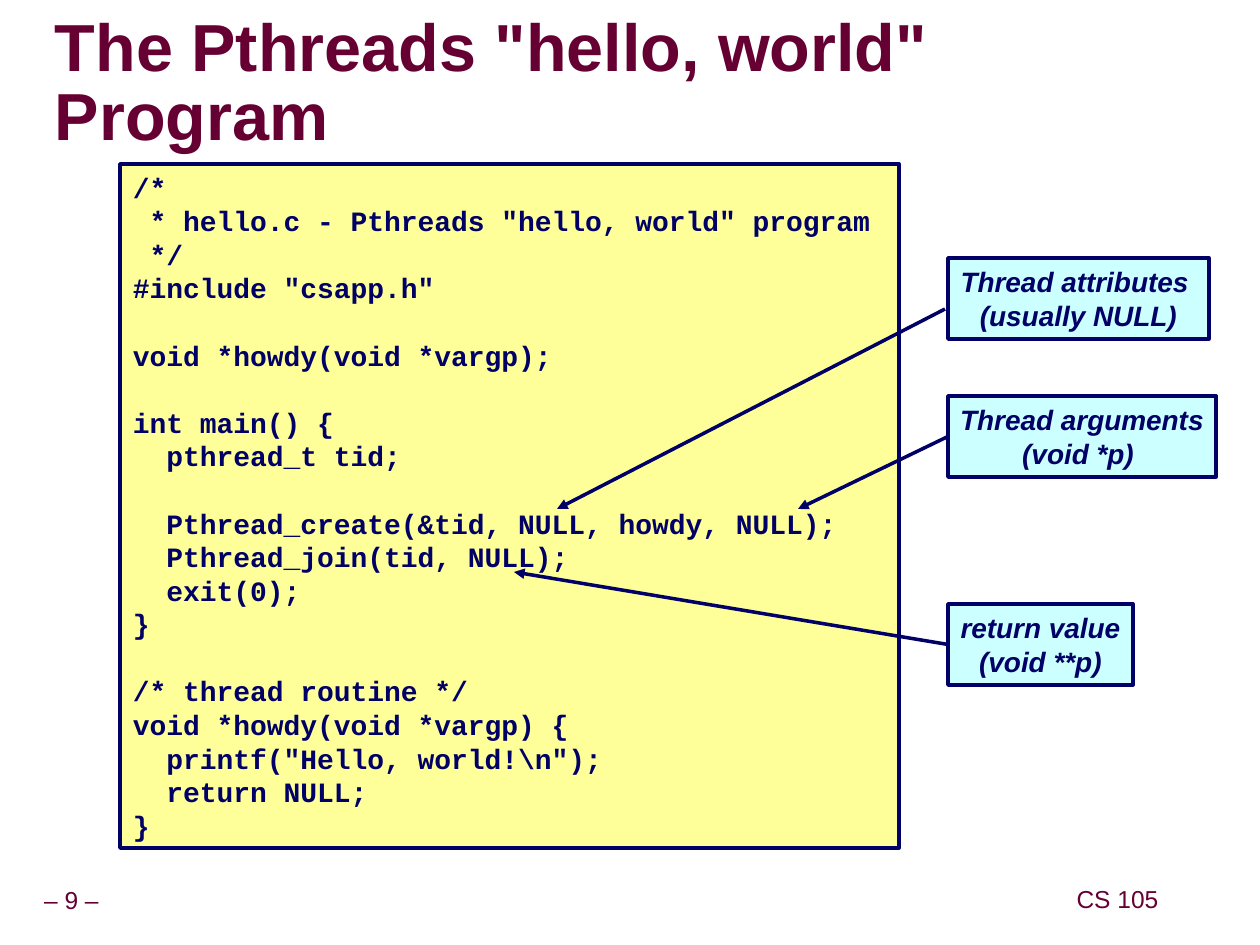
from lxml.etree import SubElement
from pptx import Presentation
from pptx.dml.color import RGBColor
from pptx.enum.shapes import MSO_CONNECTOR as Connector, MSO_SHAPE as Shape
from pptx.enum.text import MSO_ANCHOR as Anchor, PP_ALIGN as Align
from pptx.oxml.ns import qn
from pptx.util import Emu, Pt

MAROON, NAVY, YELLOW, CYAN = "660033", "000066", "FFFF99", "CCFFFF"
LEFT_SIDE = 1

CODE = r'''/*
 * hello.c - Pthreads "hello, world" program
 */
#include "csapp.h"

void *howdy(void *vargp);

int main() {
  pthread_t tid;

  Pthread_create(&tid, NULL, howdy, NULL);
  Pthread_join(tid, NULL);
  exit(0);
}

/* thread routine */
void *howdy(void *vargp) {
  printf("Hello, world!\n");
  return NULL;
}'''


def px(length):
    """Turn pixels into EMU."""
    return Emu(round(length * 914400 / 126))


def color(hex_code):
    """Turn a hex string into a colour."""
    return RGBColor.from_string(hex_code)


def write(shape, text, size, ink, font="Arial", bold=False, italic=False,
          align=Align.LEFT, spacing=None, insets=(13, 6), wrap=False):
    """Fill a shape with evenly styled paragraphs."""
    frame = shape.text_frame
    frame.text = text
    frame.word_wrap = wrap
    frame.vertical_anchor = Anchor.MIDDLE
    frame.margin_left = frame.margin_right = px(insets[0])
    frame.margin_top = frame.margin_bottom = px(insets[1])
    for paragraph in frame.paragraphs:
        paragraph.alignment = align
        paragraph.line_spacing = spacing
        paragraph.font.name = font
        paragraph.font.size = Pt(size)
        paragraph.font.bold = bold
        paragraph.font.italic = italic
        paragraph.font.color.rgb = color(ink)


def add_label(slide, bounds, text, size, **style):
    """Add unframed maroon text."""
    label = slide.shapes.add_textbox(*map(px, bounds))
    write(label, text, size, MAROON, **style)


def add_panel(slide, bounds, fill, text, **style):
    """Add a navy-framed rectangle with bold text."""
    panel = slide.shapes.add_shape(Shape.RECTANGLE, *map(px, bounds))
    panel.shadow.inherit = False
    panel.fill.solid()
    panel.fill.fore_color.rgb = color(fill)
    panel.line.color.rgb = color(NAVY)
    panel.line.width = Pt(2)
    write(panel, text, 16, NAVY, bold=True, **style)
    return panel


def add_arrow(slide, start, tip, source=None):
    """Draw an arrow to the code, joined to its source note if given."""
    arrow = slide.shapes.add_connector(Connector.STRAIGHT, *map(px, start + tip))
    if source is not None:
        arrow.begin_connect(source, LEFT_SIDE)
    arrow.line.color.rgb = color(NAVY)
    arrow.line.width = Pt(2)
    SubElement(arrow.line._get_or_add_ln(), qn("a:tailEnd"), type="triangle")
    SubElement(arrow._element.spPr, qn("a:effectLst"))


def main():
    """Build the slide and save it."""
    deck = Presentation()
    deck.slide_width, deck.slide_height = px(1260), px(945)
    slide = deck.slides.add_slide(deck.slide_layouts[6])

    footer = dict(align=Align.CENTER, spacing=0.9, insets=(6, 6))
    add_label(slide, (-11, 882, 165, 39), "– 9 –", 14, **footer)
    add_label(slide, (1070, 881, 95, 39), "CS 105", 14, **footer)
    add_label(slide, (55, 34, 984, 103), 'The Pthreads "hello, world" Program',
              38, bold=True, spacing=0.87, insets=(0, 0), wrap=True)
    add_panel(slide, (120, 164, 779, 684), YELLOW, CODE, font="Courier New")

    notes = [
        (258, 261, "Thread attributes \n(usually NULL)"),
        (396, 268, "Thread arguments\n(void *p) "),
        (604, 185, "return value\n(void **p)"),
    ]
    attributes, arguments, result = [
        add_panel(slide, (948, top, width, 81), CYAN, text,
                  italic=True, align=Align.CENTER)
        for top, width, text in notes
    ]
    add_arrow(slide, (945, 309), (557, 509))
    add_arrow(slide, (945, 435), (798, 509), arguments)
    add_arrow(slide, (945, 645), (514, 572), result)

    deck.save("out.pptx")


if __name__ == "__main__":
    main()
